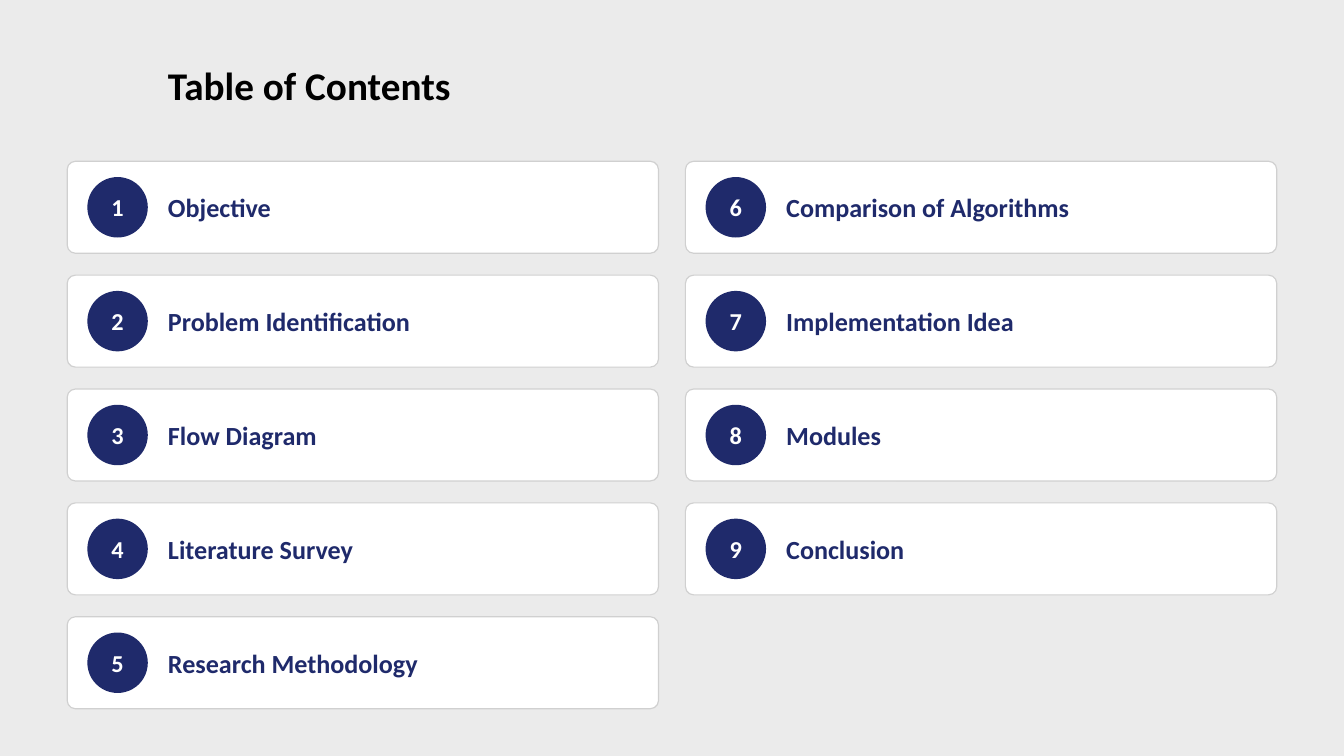
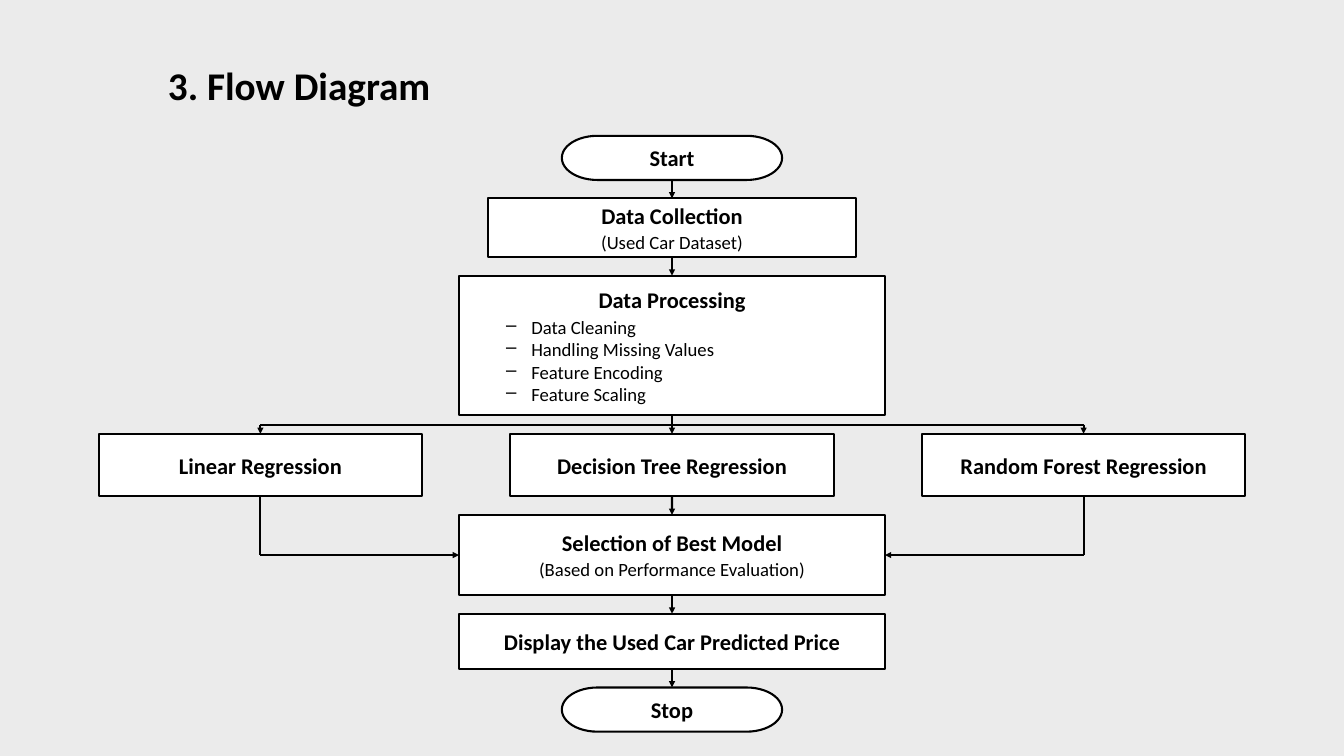
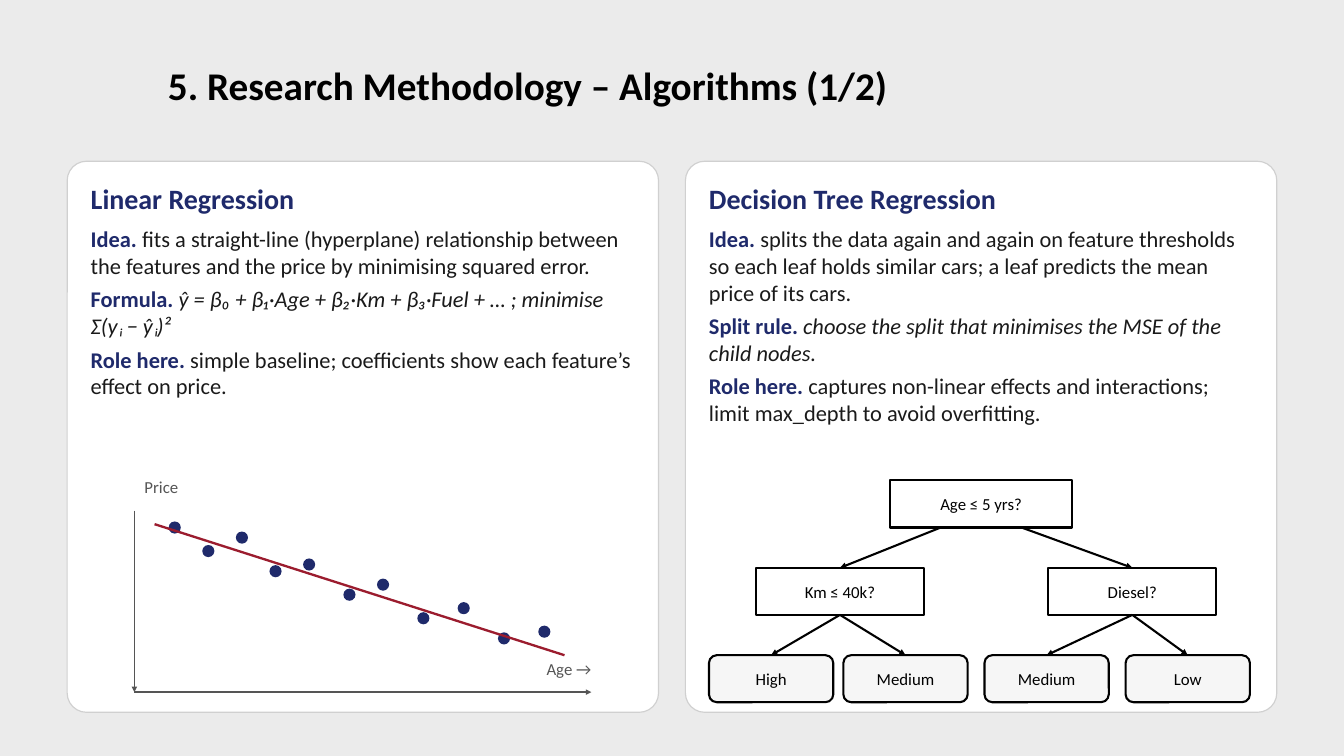
from pptx import Presentation
from pptx.dml.color import RGBColor
from pptx.enum.shapes import MSO_CONNECTOR, MSO_SHAPE
from pptx.enum.text import MSO_ANCHOR, PP_ALIGN
from pptx.oxml.ns import qn
from pptx.util import Pt
from lxml.etree import SubElement

COLORS = {
    "background": "EBEBEB", "card": "FFFFFF", "border": "D0D0D0", "navy": "1F2A6B",
    "black": "000000", "body": "1A1A1A", "gray": "555555", "leaf": "F6F6F6", "red": "9B1C2E",
}
FONT = "Calibri"
CARD_LEFTS = (72, 734.4)
CARD_WIDTH = 633.6
CARD_TOP = 172.8

CONTENTS = [
    ["Objective", "Problem Identification", "Flow Diagram", "Literature Survey",
     "Research Methodology"],
    ["Comparison of Algorithms", "Implementation Idea", "Modules", "Conclusion"],
]
CLEANING_STEPS = ["Data Cleaning", "Handling Missing Values", "Feature Encoding",
                  "Feature Scaling"]
MODELS = ["Linear Regression", "Decision Tree Regression", "Random Forest Regression"]
LINEAR_NOTES = [
    ("Idea. ", "fits a straight-line (hyperplane) relationship between the features and "
     "the price by minimising squared error.", False),
    ("Formula. ", "ŷ = β₀ + β₁·Age + β₂·Km + β₃·Fuel + … ; minimise Σ(yᵢ − ŷᵢ)²", True),
    ("Role here. ", "simple baseline; coefficients show each feature’s effect on price.", False),
]
TREE_NOTES = [
    ("Idea. ", "splits the data again and again on feature thresholds so each leaf holds "
     "similar cars; a leaf predicts the mean price of its cars.", False),
    ("Split rule. ", "choose the split that minimises the MSE of the child nodes.", True),
    ("Role here. ", "captures non-linear effects and interactions; limit max_depth to avoid "
     "overfitting.", False),
]
CAR_POINTS = [
    (187.2, 565.2), (223.2, 590.4), (259.2, 576), (295.2, 612), (331.2, 604.8),
    (374.4, 637.2), (410.4, 626.4), (453.6, 662.4), (496.8, 651.6), (540, 684),
    (583.2, 676.8),
]


def rgb(name):
    """Return the named palette colour."""
    return RGBColor.from_string(COLORS[name])


def add_text(tf, text, size=24, color="black", bold=False, italic=False,
             align=PP_ALIGN.LEFT, after=0, bullet=None, same_line=False):
    """Add text to a frame as a new paragraph, or as a run of the last one."""
    p = tf.paragraphs[-1] if same_line or not tf.text else tf.add_paragraph()
    p.alignment = align
    p.space_after = Pt(after)
    if bullet:
        pPr = p._p.get_or_add_pPr()
        pPr.set("marL", str(Pt(27)))
        pPr.set("indent", str(-Pt(27)))
        SubElement(pPr, qn("a:buChar"), char=bullet)
    r = p.add_run()
    r.text = text
    font = r.font
    font.name, font.size, font.bold, font.italic = FONT, Pt(size), bold, italic
    font.color.rgb = rgb(color)


def set_frame(sp, anchor=MSO_ANCHOR.MIDDLE, side=0, vertical=0):
    """Set wrapping, anchor and margins, and return the text frame."""
    tf = sp.text_frame
    tf.word_wrap = True
    tf.vertical_anchor = anchor
    tf.margin_left = tf.margin_right = Pt(side)
    tf.margin_top = tf.margin_bottom = Pt(vertical)
    return tf


def add_box(s, x, y, w, h, anchor=MSO_ANCHOR.MIDDLE, vertical=0):
    """Add a text box and return its frame."""
    return set_frame(s.shapes.add_textbox(Pt(x), Pt(y), Pt(w), Pt(h)), anchor, 0, vertical)


def add_label(s, x, y, w, h, text, anchor=MSO_ANCHOR.MIDDLE, vertical=0, **style):
    """Add a text box that holds one paragraph."""
    add_text(add_box(s, x, y, w, h, anchor, vertical), text, **style)


def add_shape(s, kind, x, y, w, h, fill="card", line=None, weight=2.25, radius=None):
    """Add a flat preset shape."""
    sp = s.shapes.add_shape(kind, Pt(x), Pt(y), Pt(w), Pt(h))
    sp.shadow.inherit = False
    sp.fill.solid()
    sp.fill.fore_color.rgb = rgb(fill)
    if line:
        sp.line.color.rgb = rgb(line)
        sp.line.width = Pt(weight)
    else:
        sp.line.fill.background()
    if radius is not None:
        sp.adjustments[0] = radius
    return sp


def add_card(s, x, y, h, radius):
    """Add a white rounded card of the column width."""
    add_shape(s, MSO_SHAPE.ROUNDED_RECTANGLE, x, y, CARD_WIDTH, h,
              line="border", weight=1.25, radius=radius)


def add_node(s, center, y, w, h, text, note=None, size=24, bold=True, side=5.8, after=2,
             kind=MSO_SHAPE.FLOWCHART_PROCESS, fill="card"):
    """Add an outlined diagram node centred on a given x."""
    sp = add_shape(s, kind, center - w / 2, y, w, h, fill=fill, line="black")
    tf = set_frame(sp, side=side, vertical=2.9)
    add_text(tf, text, size=size, bold=bold, align=PP_ALIGN.CENTER, after=after)
    if note:
        add_text(tf, note, size=20, align=PP_ALIGN.CENTER)
    return sp


def add_line(s, start, end, color="black", weight=2.25, arrow=True):
    """Draw a line between ends that are each a point or a (shape, side) pair."""
    joins = [end_ if hasattr(end_[0], "shape_id") else None for end_ in (start, end)]
    points = [(0, 0) if join else (Pt(e[0]), Pt(e[1])) for e, join in zip((start, end), joins)]
    c = s.shapes.add_connector(MSO_CONNECTOR.STRAIGHT, *points[0], *points[1])
    if joins[0]:
        c.begin_connect(*joins[0])
    if joins[1]:
        c.end_connect(*joins[1])
    c.line.color.rgb = rgb(color)
    c.line.width = Pt(weight)
    spPr = c._element.spPr
    if arrow:
        SubElement(spPr.find(qn("a:ln")), qn("a:tailEnd"), type="triangle")
    SubElement(spPr, qn("a:effectLst"))


def add_slide(prs, title):
    """Add a blank slide with the shared background and title."""
    s = prs.slides.add_slide(prs.slide_layouts[6])
    s.background.fill.solid()
    s.background.fill.fore_color.rgb = rgb("background")
    add_label(s, 180, 56.2, 1065.6, 68.4, title, size=42, bold=True)
    return s


def add_contents_item(s, x, y, number, topic):
    """Add a contents card with its numbered badge."""
    h, badge = 98.6, 64.8
    add_card(s, x, y, h, 0.09)
    sp = add_shape(s, MSO_SHAPE.OVAL, x + 21.6, y + (h - badge) / 2, badge, badge, fill="navy")
    add_text(set_frame(sp, vertical=2.9), str(number), size=26, color="card", bold=True,
             align=PP_ALIGN.CENTER)
    add_label(s, x + 108, y, 504, h, topic, vertical=2.9, size=28, color="navy", bold=True)


def add_algorithm_card(s, x, name, notes):
    """Add a card with an algorithm's name and notes."""
    add_card(s, x, CARD_TOP, 590.4, 0.035)
    add_label(s, x + 25.2, 187.2, 583.2, 50.4, name, size=30, color="navy", bold=True)
    tf = add_box(s, x + 25.2, 241.2, 583.2, 259.2, MSO_ANCHOR.TOP)
    for term, text, italic in notes:
        after = 0 if term == notes[-1][0] else 7
        add_text(tf, term, color="navy", bold=True, after=after)
        add_text(tf, text, color="body", italic=italic, after=after, same_line=True)


def add_price_plot(s):
    """Draw the price against age sketch with its fitted line."""
    origin = (144, 741.6)
    add_line(s, (144, 547.2), origin, "gray", 1.75)
    add_line(s, origin, (633.6, 741.6), "gray", 1.75)
    dot = 13
    for x, y in CAR_POINTS:
        add_shape(s, MSO_SHAPE.OVAL, x - dot / 2, y - dot / 2, dot, dot, fill="navy")
    add_line(s, (165.6, 561.6), (604.8, 702), "red", 2.5, arrow=False)
    axis = {"anchor": MSO_ANCHOR.TOP, "size": 18, "color": "gray"}
    add_label(s, 475.2, 705.6, 158.4, 32.4, "Age →", align=PP_ALIGN.RIGHT, **axis)
    add_label(s, 154.8, 511.2, 115.2, 32.4, "Price", **axis)


def add_decision_tree(s):
    """Draw the example decision tree."""
    h, root_x = 50.4, 1051.2
    plain = {"size": 18, "bold": False, "after": 0}
    add_node(s, root_x, 514.8, 194.4, h, "Age ≤ 5 yrs?", **plain)
    branches = [
        (900, "Km ≤ 40k?", -43.2, [(826.2, "High"), (970.2, "Medium")]),
        (1213.2, "Diesel?", 43.2, [(1121.4, "Medium"), (1272.6, "Low")]),
    ]
    for x, question, offset, leaves in branches:
        node = add_node(s, x, 608.4, 180, h, question, **plain)
        add_line(s, (root_x + offset, 514.8 + h), (node, 0))
        for leaf_x, price in leaves:
            leaf = add_node(s, leaf_x, 702, 133.2, h, price, fill="leaf",
                            kind=MSO_SHAPE.ROUNDED_RECTANGLE, **plain)
            add_line(s, (node, 2), (leaf, 0))


def build_contents(prs):
    """Build the table of contents."""
    s = add_slide(prs, "Table of Contents")
    number = 1
    for x, topics in zip(CARD_LEFTS, CONTENTS):
        for row, topic in enumerate(topics):
            add_contents_item(s, x, CARD_TOP + row * 122, number, topic)
            number += 1


def build_flow(prs):
    """Build the flow diagram."""
    s = add_slide(prs, "3. Flow Diagram")
    middle, gap, spread = 720, 19.8, 441
    heights = [47.3, 63, 149.6, 67, 86.2, 59.2, 47.3]
    tops = [145.5 + sum(heights[:i]) + gap * i for i in range(len(heights))]
    rows = list(zip(tops, heights))
    terminator = MSO_SHAPE.FLOWCHART_TERMINATOR

    def step(row, w, text, **style):
        """Add a node of the central column."""
        y, h = rows[row]
        return add_node(s, middle, y, w, h, text, **style)

    start = step(0, 236, "Start", kind=terminator)
    collection = step(1, 394, "Data Collection", note="(Used Car Dataset)")
    processing = step(2, 456.4, "Data Processing", side=50.4, after=3)
    for task in CLEANING_STEPS:
        add_text(processing.text_frame, task, size=20, bullet="–")
    centers = [middle + spread * i for i in (-1, 0, 1)]
    models = [add_node(s, x, tops[3], 346.4, heights[3], name)
              for x, name in zip(centers, MODELS)]
    selection = step(4, 456.4, "Selection of Best Model",
                     note="(Based on Performance Evaluation)")
    display = step(5, 456.4, "Display the Used Car Predicted Price")
    stop = step(6, 236, "Stop", kind=terminator)

    for upper, lower in [(start, collection), (collection, processing), (models[1], selection),
                         (selection, display), (display, stop)]:
        add_line(s, (upper, 2), (lower, 0))
    split_y = tops[3] - gap / 2
    add_line(s, (processing, 2), (middle, split_y), arrow=False)
    add_line(s, (centers[0], split_y), (centers[-1], split_y), arrow=False)
    for x, model in zip(centers, models):
        add_line(s, (x, split_y), (model, 0))
    join_y = tops[4] + heights[4] / 2
    for i, side in ((0, 1), (2, 3)):
        add_line(s, (models[i], 2), (centers[i], join_y), arrow=False)
        add_line(s, (centers[i], join_y), (selection, side))


def build_algorithms(prs):
    """Build the comparison of the first two algorithms."""
    s = add_slide(prs, "5. Research Methodology – Algorithms (1/2)")
    add_algorithm_card(s, CARD_LEFTS[0], MODELS[0], LINEAR_NOTES)
    add_price_plot(s)
    add_algorithm_card(s, CARD_LEFTS[1], MODELS[1], TREE_NOTES)
    add_decision_tree(s)


def main():
    """Build and save the presentation."""
    prs = Presentation()
    prs.slide_width, prs.slide_height = Pt(1440), Pt(810)
    build_contents(prs)
    build_flow(prs)
    build_algorithms(prs)
    prs.save("out.pptx")


if __name__ == "__main__":
    main()
